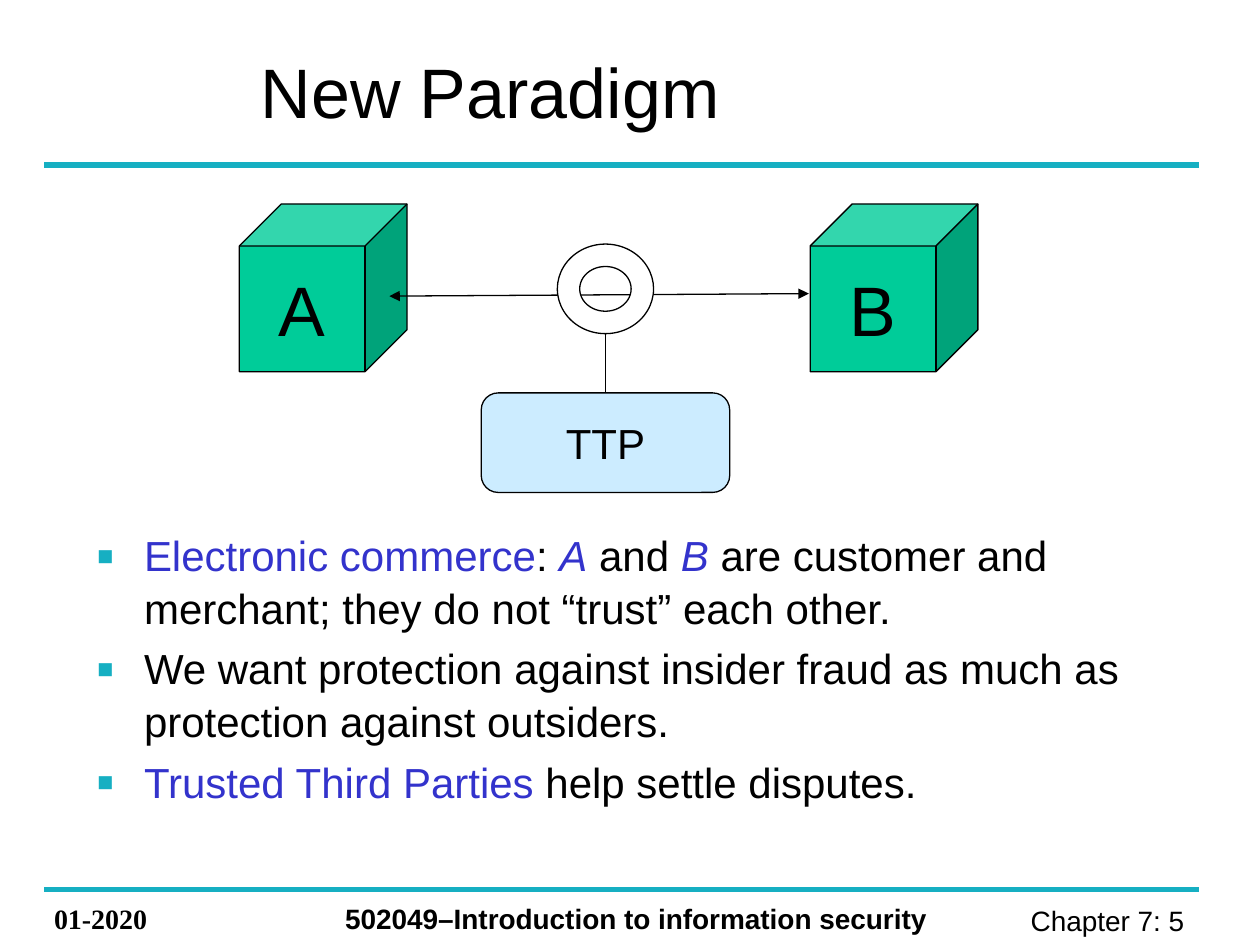
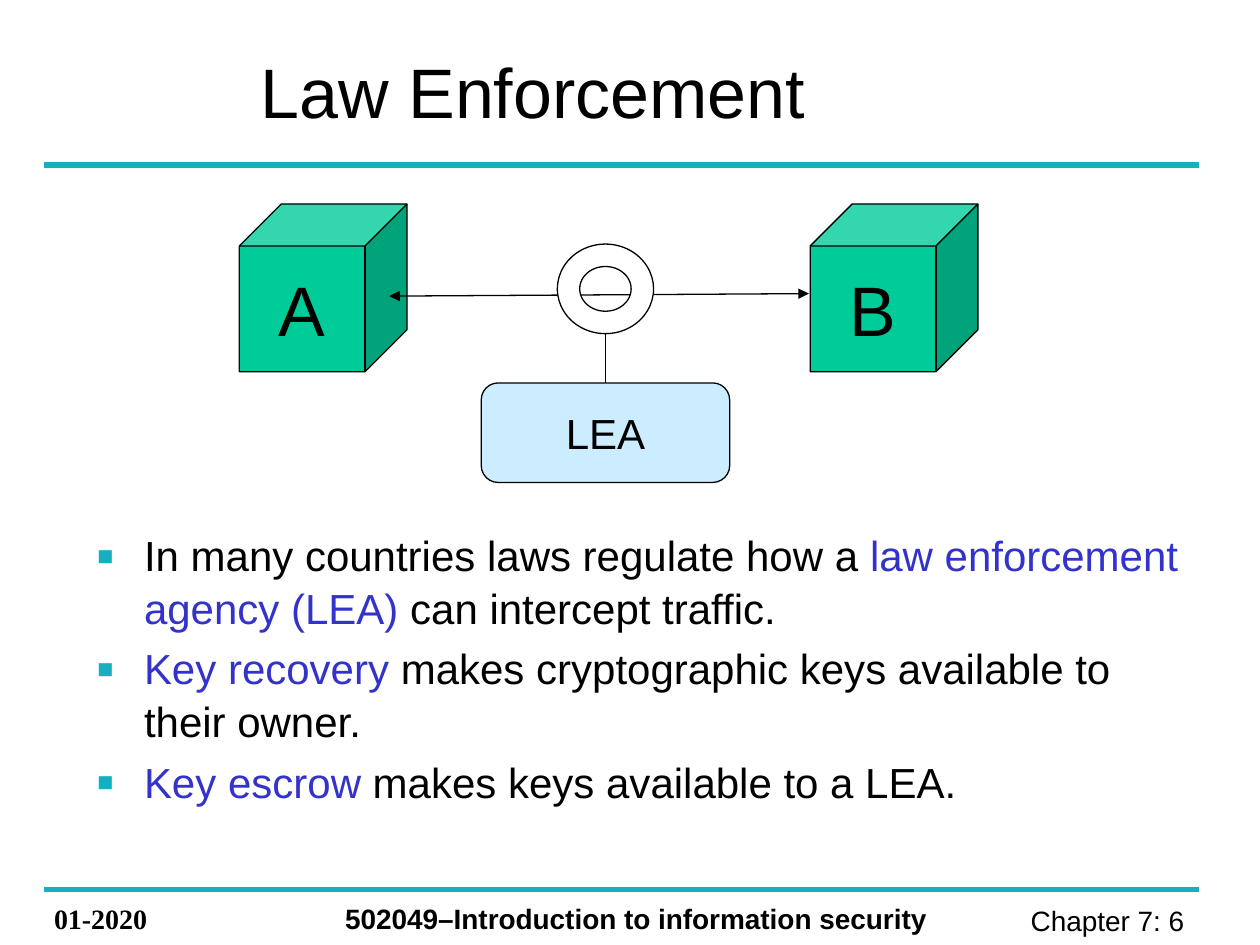
from lxml import etree
from pptx import Presentation
from pptx.dml.color import RGBColor
from pptx.enum import shapes as kinds, text as layout
from pptx.oxml import ns
from pptx.util import Pt

# Shared colours and text formats
BLACK = RGBColor(0x00, 0x00, 0x00)
WHITE = RGBColor(0xFF, 0xFF, 0xFF)
TEAL = RGBColor(0x16, 0xAF, 0xC2)
BLUE = RGBColor(0x33, 0x33, 0xCC)
GREEN = RGBColor(0x00, 0xCC, 0x99)
PALE_BLUE = RGBColor(0xCC, 0xEC, 0xFF)

HEADING = {"name": "Arial", "size": Pt(40), "color": BLACK}
PLAIN = {"name": "Arial", "size": Pt(24), "color": BLACK}
TERM = {**PLAIN, "color": BLUE}
PARTY = {**TERM, "italic": True}
PAGE = {"name": "Arial", "size": Pt(16), "color": BLACK}
COURSE = {**PAGE, "bold": True}
DATE = {**COURSE, "name": "Times New Roman"}

LEFT, RIGHT, CENTER = (layout.PP_ALIGN.LEFT, layout.PP_ALIGN.RIGHT,
                       layout.PP_ALIGN.CENTER)

# Content: title, chapter page, third party, top of its box, bullets
SLIDES = [
    ("New Paradigm", 5, "TTP", 224.5, [
        [("Electronic commerce", TERM), (": ", PLAIN), ("A", PARTY),
         (" and ", PLAIN), ("B", PARTY),
         (" are customer and merchant; they do not “trust” each other.", PLAIN)],
        [("We want protection against insider fraud as much as "
          "protection against outsiders.", PLAIN)],
        [("Trusted Third Parties", TERM), (" help settle disputes.", PLAIN)],
    ]),
    ("Law Enforcement", 6, "LEA", 218.8, [
        [("In many countries laws regulate how a ", PLAIN),
         ("law enforcement agency (LEA) ", TERM),
         ("can intercept traffic.", PLAIN)],
        [("Key recovery ", TERM),
         ("makes cryptographic keys available to their owner.", PLAIN)],
        [("Key escrow ", TERM), ("makes keys available to a LEA.", PLAIN)],
    ]),
]


def write(paragraph, words, style, align=LEFT):
    paragraph.alignment = align
    run = paragraph.add_run()
    run.text = words
    for key, value in style.items():
        if key == "color":
            run.font.color.rgb = value
        else:
            setattr(run.font, key, value)


def draw_line(slide, start, end, color, width, arrows=False):
    line = slide.shapes.add_connector(
        kinds.MSO_CONNECTOR.STRAIGHT, *map(Pt, start + end))
    line.line.color.rgb = color
    line.line.width = Pt(width)
    if arrows:
        for tip in ("a:headEnd", "a:tailEnd"):
            etree.SubElement(line.line._get_or_add_ln(), ns.qn(tip), type="triangle")
    etree.SubElement(line._element.spPr, ns.qn("a:effectLst"))
    return line


deck = Presentation()
deck.slide_width, deck.slide_height = Pt(720), Pt(540)

for heading, page, third_party, box_top, bullets in SLIDES:
    slide = deck.slides.add_slide(deck.slide_layouts[5])

    # Rules above and below the content
    for y in (94.3, 508.3):
        draw_line(slide, (25.2, y), (685.4, y), TEAL, 3)

    # Footer
    for words, style, align, left, top, width in (
            (f"Chapter 7: {page} ", PAGE, RIGHT, 529.9, 512.6, 158.4),
            ("01-2020", DATE, LEFT, 23.8, 511.9, 95.8),
            ("502049–Introduction to information security", COURSE, LEFT,
             190.1, 511.9, 362.9)):
        footer = slide.shapes.add_textbox(Pt(left), Pt(top), Pt(width), Pt(26.6))
        footer.text_frame.word_wrap = True
        footer.text_frame.auto_size = layout.MSO_AUTO_SIZE.SHAPE_TO_FIT_TEXT
        write(footer.text_frame.paragraphs[0], words, style, align)

    # Title
    title = slide.shapes.title
    title.left, title.top, title.width, title.height = map(
        Pt, (141.8, 20.2, 578.2, 62.6))
    title.text_frame.auto_size = layout.MSO_AUTO_SIZE.NONE
    title.text_frame.vertical_anchor = layout.MSO_ANCHOR.MIDDLE
    write(title.text_frame.paragraphs[0], heading, HEADING)

    # Bullets
    body = slide.shapes.add_textbox(
        Pt(48.2), Pt(298.1), Pt(646.6), Pt(172)).text_frame
    body.word_wrap = True
    for index, pieces in enumerate(bullets):
        point = body.add_paragraph() if index else body.paragraphs[0]
        props = point._p.get_or_add_pPr()
        props.set("marL", str(Pt(27)))
        props.set("indent", str(Pt(-27)))
        color = etree.SubElement(props, ns.qn("a:buClr"))
        etree.SubElement(color, ns.qn("a:srgbClr"), val=str(TEAL))
        etree.SubElement(props, ns.qn("a:buSzPct"), val="125000")
        etree.SubElement(props, ns.qn("a:buFont"), typeface="Arial")
        etree.SubElement(props, ns.qn("a:buChar"), char="▪")
        point.line_spacing = 1.04
        if index:
            point.space_before = Pt(4.8)
        for words, style in pieces:
            write(point, words, style)

    # Parties A and B, the channel, the third party and its tap ring
    nodes = {}
    for name, kind, adjust, fill, style, left, top, width, height in (
            ("A", "CUBE", 0.25, GREEN, HEADING, 136.8, 116.6, 95.8, 95.8),
            ("B", "CUBE", 0.25, GREEN, HEADING, 463, 116.6, 95.8, 95.8),
            (third_party, "ROUNDED_RECTANGLE", 0.17, PALE_BLUE, PLAIN,
             275, box_top, 142, 56.9),
            ("", "DONUT", 0.25, WHITE, PLAIN, 318.5, 139.5, 55, 51.2)):
        if name == third_party:
            draw_line(slide, (222.5, 169.2), (462.2, 167.8), BLACK, 0.75, True)
        node = slide.shapes.add_shape(
            kinds.MSO_SHAPE[kind], *map(Pt, (left, top, width, height)))
        node.adjustments[0] = adjust
        node.shadow.inherit = False
        node.fill.solid()
        node.fill.fore_color.rgb = fill
        node.line.color.rgb = BLACK
        node.line.width = Pt(0.75)
        if name:
            node.text_frame.word_wrap = False
            node.text_frame.vertical_anchor = layout.MSO_ANCHOR.MIDDLE
            write(node.text_frame.paragraphs[0], name, style, CENTER)
        nodes[name] = node

    # Tap from the third party up to the ring
    tap = draw_line(slide, (346, box_top), (346, 190.7), BLACK, 0.75)
    tap.begin_connect(nodes[third_party], 0)

deck.save("out.pptx")
